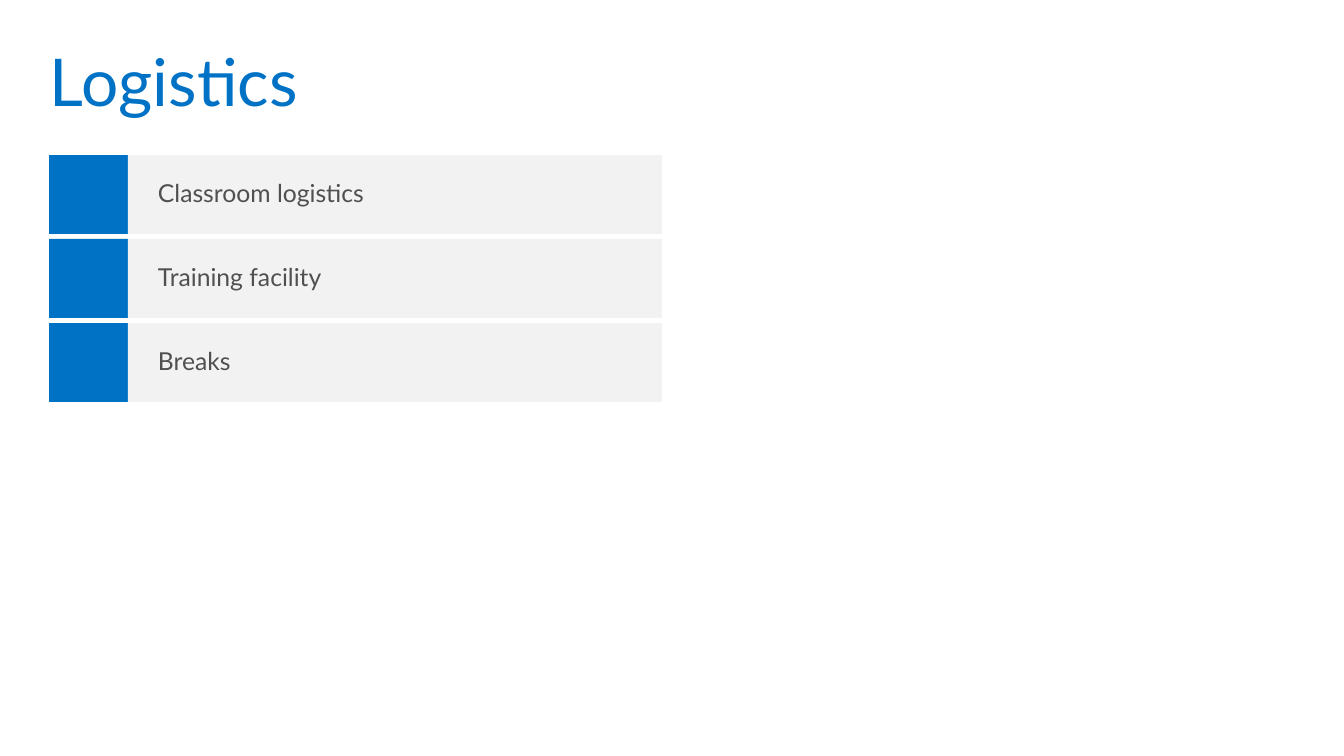
from pptx import Presentation
from pptx.dml.color import RGBColor
from pptx.enum.shapes import MSO_SHAPE as Shape
from pptx.enum.text import MSO_ANCHOR as Anchor, PP_ALIGN as Align
from pptx.util import Pt

SCALE = 914400 / 98.8
COLORS = {"blue": "0072C6", "gray": "F2F2F2", "text": "505050"}
TOPICS = ["Classroom logistics", "Training facility", "Breaks"]


def px(length):
    """Turn pixels into EMU."""
    return round(length * SCALE)


def color(name):
    """Look up a named colour."""
    return RGBColor.from_string(COLORS[name])


def write(shape, text, size, ink, anchor, side):
    """Put one left-aligned line of text in a shape."""
    frame = shape.text_frame
    frame.word_wrap = True
    frame.vertical_anchor = anchor
    frame.margin_left = frame.margin_right = px(side)
    frame.margin_top = frame.margin_bottom = px(10)
    frame.text = text
    para = frame.paragraphs[0]
    para.alignment = Align.LEFT
    para.line_spacing = 0.9
    para.font.name = "Lato"
    para.font.size = Pt(size)
    para.font.color.rgb = color(ink)


def add_block(page, box, fill):
    """Add a plain filled rectangle."""
    block = page.shapes.add_shape(Shape.RECTANGLE, *map(px, box))
    block.shadow.inherit = False
    block.fill.solid()
    block.fill.fore_color.rgb = color(fill)
    block.line.fill.background()
    return block


def place_title(page, box, text):
    """Move and format the title placeholder."""
    title = page.shapes.title
    title.left, title.top, title.width, title.height = map(px, box)
    write(title, text, 48, "blue", Anchor.TOP, 10)


def add_topics(page, box, topics, gap=5):
    """Stack topic rows, each a square marker and a label."""
    left, top, width, height = box
    side = (height - gap * (len(topics) - 1)) / len(topics)
    for index, topic in enumerate(topics):
        row_top = top + index * (side + gap)
        add_block(page, (left, row_top, side, side), "blue")
        label = add_block(page, (left + side, row_top, width - side, side), "gray")
        write(label, topic, 18, "text", Anchor.MIDDLE, 30)


def main():
    """Build the logistics slide."""
    deck = Presentation()
    deck.slide_width, deck.slide_height = px(1344), px(756)
    page = deck.slides.add_slide(deck.slide_layouts[5])
    place_title(page, (40, 40, 1265, 99), "Logistics")
    add_topics(page, (49, 155, 613, 247), TOPICS)
    deck.save("out.pptx")


main()
